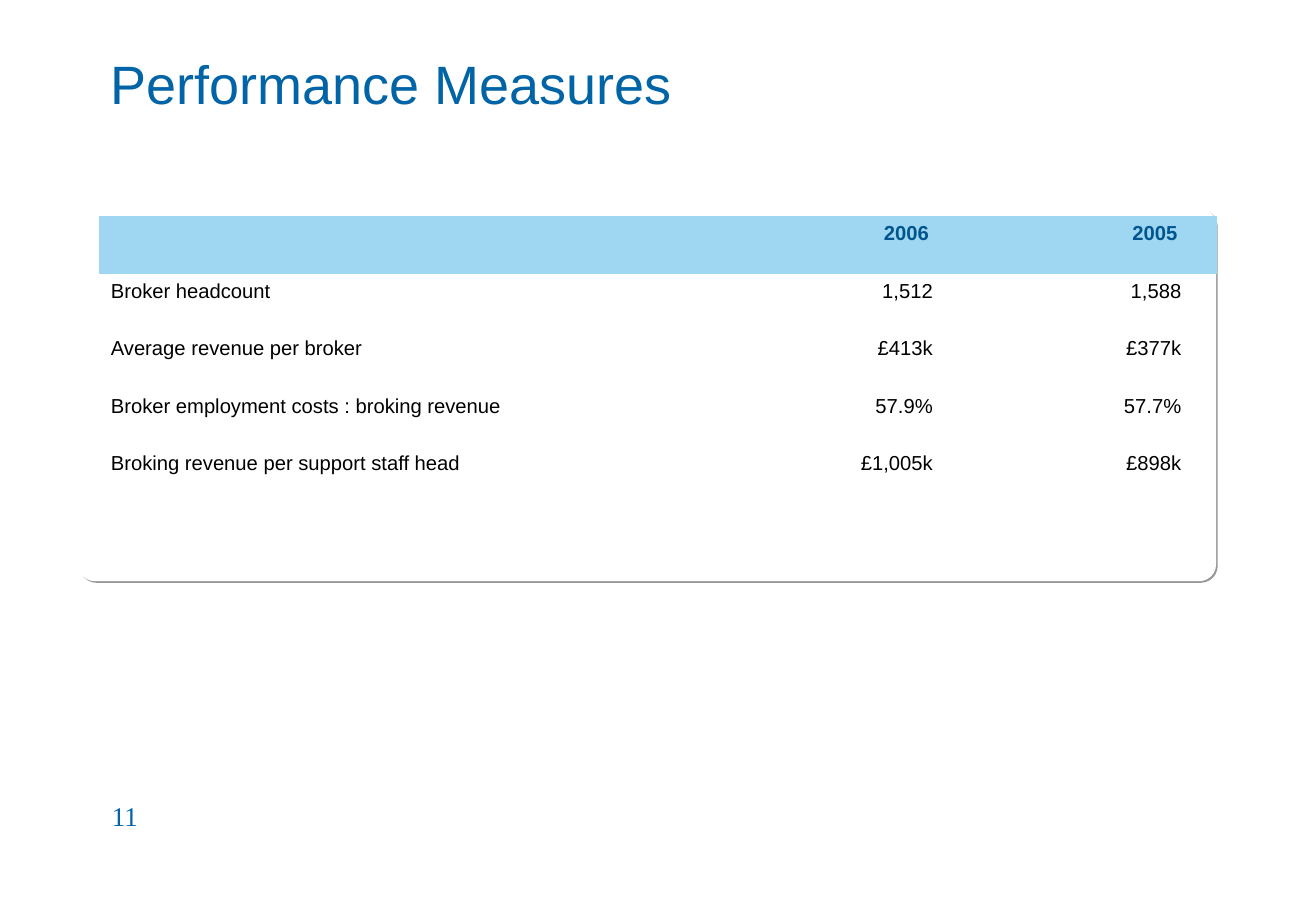
from lxml import etree
from pptx import Presentation
from pptx.dml.color import RGBColor
from pptx.enum.shapes import MSO_SHAPE
from pptx.enum.text import MSO_ANCHOR, PP_ALIGN
from pptx.oxml.ns import qn
from pptx.util import Pt

ROUNDED = MSO_SHAPE.ROUNDED_RECTANGLE
MIDDLE = MSO_ANCHOR.MIDDLE
LEFT, CENTER, RIGHT = PP_ALIGN.LEFT, PP_ALIGN.CENTER, PP_ALIGN.RIGHT

COLORS = {
    "title": "0064A6",
    "header": "00558E",
    "header_fill": "9FD6F1",
    "body": "000000",
    "card": "FFFFFF",
    "shadow": "989898",
}
NO_GRID_STYLE = "{2D5ABB26-0587-4C30-8999-92F81FD0307C}"
ROWS = [
    ("", "2006", "2005"),
    ("Broker headcount", "1,512", "1,588"),
    ("Average revenue per broker", "£413k", "£377k"),
    ("Broker employment costs : broking revenue", "57.9%", "57.7%"),
    ("Broking revenue per support staff head", "£1,005k", "£898k"),
    ("", "", ""),
]
VALUE_COLS = (0, 6, 8)
COL_COUNT = 9
LABEL_SPAN = 4
COL_WIDTH = 73.68
ROW_HEIGHT = 34.1


def style_text(tf, text, font, size, color, bold=False, align=LEFT):
    tf.text = text
    p = tf.paragraphs[0]
    p.alignment = align
    for r in p.runs:
        r.font.name = font
        r.font.size = Pt(size)
        r.font.bold = bold
        r.font.color.rgb = RGBColor.from_string(COLORS[color])


prs = Presentation()
prs.slide_width, prs.slide_height = Pt(780.25), Pt(540)
s = prs.slides.add_slide(prs.slide_layouts[6])

card = s.shapes.add_shape(ROUNDED, Pt(46.25), Pt(123.25), Pt(674.75), Pt(221.25))
card.adjustments[0] = 0.045
card.fill.solid()
card.fill.fore_color.rgb = RGBColor.from_string(COLORS["card"])
card.line.fill.background()
card.shadow.inherit = False
effects = card.element.spPr.find(qn("a:effectLst"))
shadow = etree.SubElement(effects, qn("a:outerShdw"), dist=str(Pt(1.4)), dir="2700000",
                          algn="ctr", rotWithShape="0")
etree.SubElement(shadow, qn("a:srgbClr"), val=COLORS["shadow"])

title = s.shapes.add_textbox(Pt(58.4), Pt(4.3), Pt(663.1), Pt(90))
title.text_frame.word_wrap = True
title.text_frame.vertical_anchor = MIDDLE
style_text(title.text_frame, "Performance Measures", "Arial", 32, "title")

frame = s.shapes.add_table(len(ROWS), COL_COUNT, Pt(58.5), Pt(128.3),
                           Pt(COL_WIDTH * COL_COUNT), Pt(ROW_HEIGHT * len(ROWS)))
table = frame.table
table.first_row = False
table.horz_banding = False
table._tbl.tblPr.find(qn("a:tableStyleId")).text = NO_GRID_STYLE
for col in table.columns:
    col.width = Pt(COL_WIDTH)

for i, values in enumerate(ROWS):
    header = i == 0
    table.rows[i].height = Pt(ROW_HEIGHT)
    for cell in table.rows[i].cells:
        if header:
            cell.fill.solid()
            cell.fill.fore_color.rgb = RGBColor.from_string(COLORS["header_fill"])
        else:
            cell.fill.background()
    if values[0]:
        table.cell(i, 0).merge(table.cell(i, LABEL_SPAN - 1))
    for j, text in zip(VALUE_COLS, values):
        if not text:
            continue
        cell = table.cell(i, j)
        if header:
            style_text(cell.text_frame, text, "Arial", 12, "header", True, CENTER)
        elif j == 0:
            style_text(cell.text_frame, text, "Arial", 12, "body")
        else:
            cell.margin_right = Pt(21.2)
            style_text(cell.text_frame, text, "Arial", 12, "body", align=RIGHT)

number = s.shapes.add_textbox(Pt(59.25), Pt(470.4), Pt(162.7), Pt(36))
number.text_frame.word_wrap = True
style_text(number.text_frame, "11", "Times New Roman", 16, "title")

prs.save("out.pptx")
